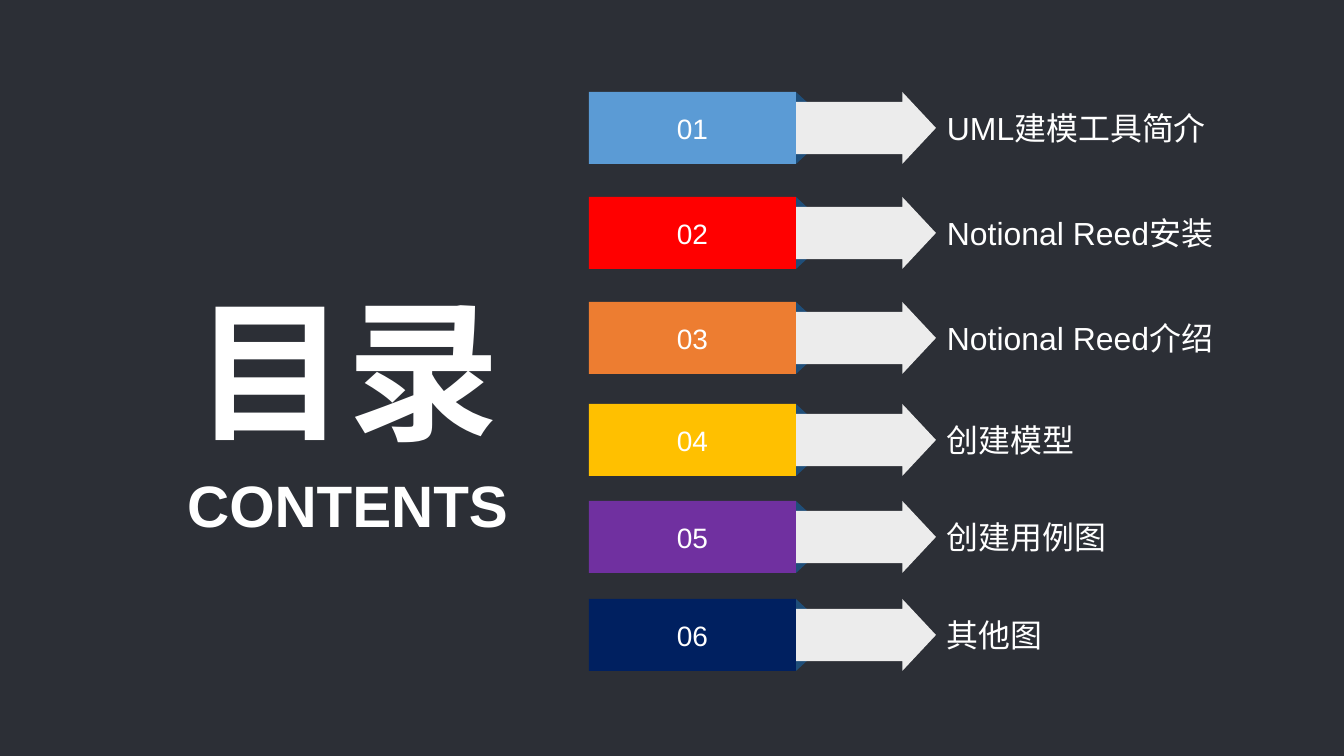
import pptx
import pptx.util
import pptx.dml.color
import pptx.enum.shapes
import pptx.enum.text
import pptx.oxml.ns

RGBColor = pptx.dml.color.RGBColor
MSO_SHAPE = pptx.enum.shapes.MSO_SHAPE
PP_ALIGN = pptx.enum.text.PP_ALIGN
MSO_ANCHOR = pptx.enum.text.MSO_ANCHOR

EMU_PER_PX = 914400 / 100.8
FONT = "Arial"

BACKGROUND = RGBColor(0x2C, 0x2F, 0x36)
WHITE = RGBColor(0xFF, 0xFF, 0xFF)
ARROW_GREY = RGBColor(0xEC, 0xEC, 0xEC)
FOLD_BLUE = RGBColor(0x1F, 0x4E, 0x79)
BLUE = RGBColor(0x5B, 0x9B, 0xD5)
RED = RGBColor(0xFF, 0x00, 0x00)
ORANGE = RGBColor(0xED, 0x7D, 0x31)
YELLOW = RGBColor(0xFF, 0xC0, 0x00)
PURPLE = RGBColor(0x70, 0x30, 0xA0)
NAVY = RGBColor(0x00, 0x20, 0x60)

ROW_HEIGHT = 72
CHAPTERS = [
    (92, BLUE, "UML建模工具简介"),
    (197, RED, "Notional Reed安装"),
    (302, ORANGE, "Notional Reed介绍"),
    (404, YELLOW, "创建模型"),
    (501, PURPLE, "创建用例图"),
    (599, NAVY, "其他图"),
]


def px(length):
    return pptx.util.Emu(round(length * EMU_PER_PX))


def write(shape, text, size, align, anchor=MSO_ANCHOR.MIDDLE, bold=False):
    frame = shape.text_frame
    frame.text = text
    frame.word_wrap = True
    frame.vertical_anchor = anchor
    frame.margin_left = frame.margin_right = 0
    frame.margin_top = frame.margin_bottom = 0
    paragraph = frame.paragraphs[0]
    paragraph.alignment = align
    font = paragraph.runs[0].font
    font.name = FONT
    font.size = pptx.util.Pt(size)
    font.bold = bold
    font.color.rgb = WHITE


def add_filled(slide, preset, left, top, width, height, color):
    shape = slide.shapes.add_shape(preset, px(left), px(top), px(width), px(height))
    shape.shadow.inherit = False
    shape.fill.solid()
    shape.fill.fore_color.rgb = color
    shape.line.fill.background()
    return shape


def add_label(slide, left, top, width, height, *text_settings, **text_options):
    label = slide.shapes.add_textbox(px(left), px(top), px(width), px(height))
    write(label, *text_settings, **text_options)


def add_heading(slide, left, top, width):
    add_label(slide, left + 12, top, width - 24, 185, "目录", 109,
              PP_ALIGN.CENTER, bold=True)
    add_label(slide, left, top + 194, width, 71, "CONTENTS", 41.7,
              PP_ALIGN.CENTER, anchor=MSO_ANCHOR.TOP, bold=True)


def add_chapter(slide, left, top, height, number, color, title):
    block_width, fold_width, fold_height = 207, 12, 11
    fold_left = left + block_width
    add_filled(slide, MSO_SHAPE.RIGHT_TRIANGLE, fold_left, top,
               fold_width, fold_height, FOLD_BLUE)
    lower_fold = add_filled(slide, MSO_SHAPE.RIGHT_TRIANGLE, fold_left,
                            top + height - fold_height,
                            fold_width, fold_height, FOLD_BLUE)
    lower_fold._element.spPr.find(pptx.oxml.ns.qn("a:xfrm")).set("flipV", "1")

    arrow = add_filled(slide, MSO_SHAPE.RIGHT_ARROW, left + 115, top, 232, height,
                       ARROW_GREY)
    arrow.adjustments[0] = 0.726
    arrow.adjustments[1] = 0.468

    block = add_filled(slide, MSO_SHAPE.RECTANGLE, left, top, block_width, height, color)
    write(block, f"{number:02d}", 20, PP_ALIGN.CENTER)
    add_label(slide, left + 358, top + 17, 288, 38, title, 22.8, PP_ALIGN.LEFT)


def build_contents_slide(presentation):
    slide = presentation.slides.add_slide(presentation.slide_layouts[6])
    slide.background.fill.solid()
    slide.background.fill.fore_color.rgb = BACKGROUND
    add_heading(slide, 175, 275, 345)
    for number, (top, color, title) in enumerate(CHAPTERS, start=1):
        add_chapter(slide, 589, top, ROW_HEIGHT, number, color, title)


def main():
    presentation = pptx.Presentation()
    presentation.slide_width = px(1344)
    presentation.slide_height = px(756)
    build_contents_slide(presentation)
    presentation.save("out.pptx")


if __name__ == "__main__":
    main()
